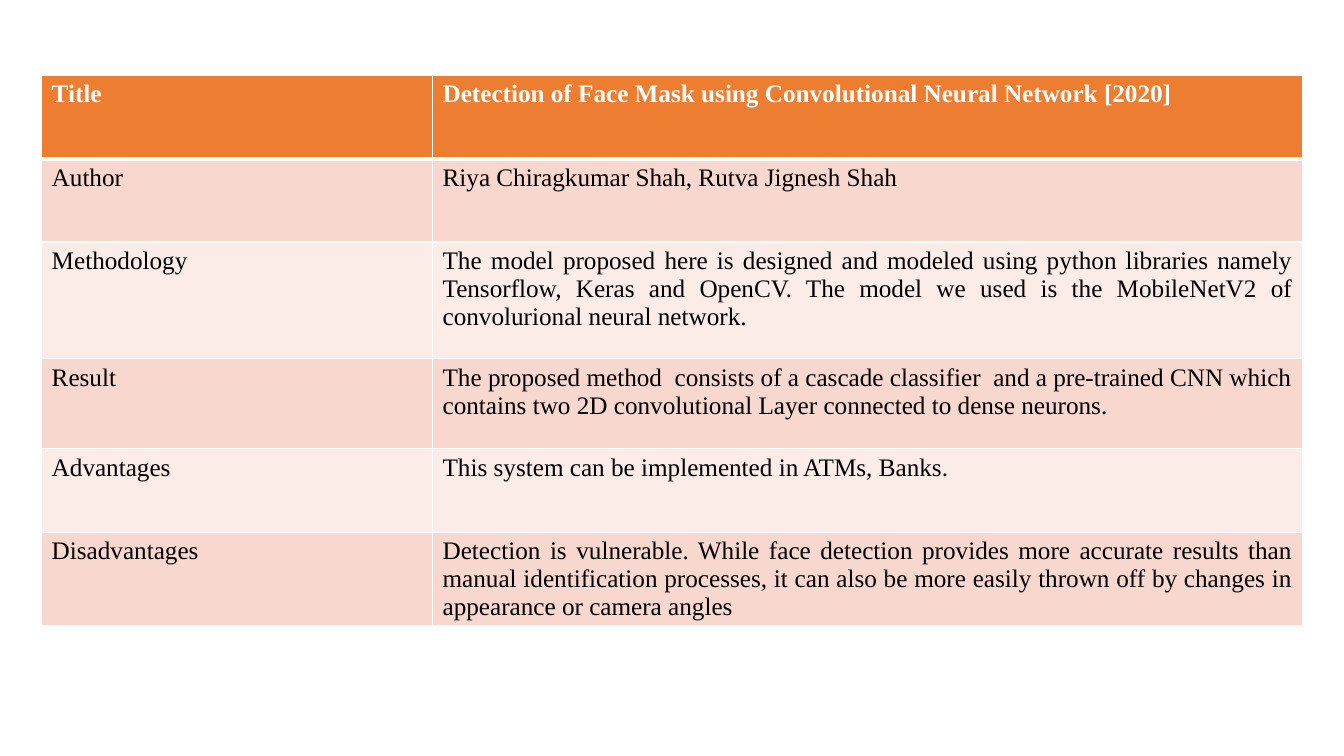
"""Build a one-slide summary table of a face mask detection paper."""
from dataclasses import dataclass

from lxml import etree
from pptx import Presentation
from pptx import util as u
from pptx.dml.color import RGBColor
from pptx.enum import text
from pptx.oxml import ns


@dataclass(frozen=True)
class Theme:
    """Colours, font and sizes of the slide."""
    font: str = "Times New Roman"
    size: int = 18
    header: str = "ED7D31"
    bands: tuple = ("F8D7CE", "FCECE8")
    rule: str = "FFFFFF"
    header_text: str = "FFFFFF"
    body_text: str = "000000"
    thin: int = 1
    thick: int = 3


THEME = Theme()
LEFT, JUSTIFY = text.PP_ALIGN.LEFT, text.PP_ALIGN.JUSTIFY

PAPER = [
    ("Title", "Detection of Face Mask using Convolutional Neural Network [2020]", LEFT, 2.1),
    ("Author", "Riya Chiragkumar Shah, Rutva Jignesh Shah", LEFT, 2.1),
    ("Methodology",
     "The model proposed here is designed and modeled using python libraries namely "
     "Tensorflow, Keras and OpenCV. The model we used is the MobileNetV2 of "
     "convolurional neural network.", JUSTIFY, 2.94),
    ("Result",
     "The proposed method  consists of a cascade classifier  and a pre-trained CNN which "
     "contains two 2D convolutional Layer connected to dense neurons.", LEFT, 2.27),
    ("Advantages", "This system can be implemented in ATMs, Banks.", LEFT, 2.1),
    ("Disadvantages",
     "Detection is vulnerable. While face detection provides more accurate results than "
     "manual identification processes, it can also be more easily thrown off by changes in "
     "appearance or camera angles", JUSTIFY, 2.1),
]


def write(frame, words, *, color, bold=False, align=LEFT):
    """Put formatted words into a text frame."""
    paragraph = frame.paragraphs[0]
    paragraph.alignment = align
    run = paragraph.add_run()
    run.text = words
    run.font.name = THEME.font
    run.font.size = u.Pt(THEME.size)
    run.font.bold = bold
    run.font.color.rgb = RGBColor.from_string(color)


def rule_cell(cell, **widths):
    """Draw the cell's borders, given a width in points for each side."""
    properties = cell._tc.get_or_add_tcPr()
    for position, (side, width) in enumerate(widths.items()):
        border = etree.Element(ns.qn(f"a:ln{side}"), w=str(u.Pt(width)))
        fill = etree.SubElement(border, ns.qn("a:solidFill"))
        etree.SubElement(fill, ns.qn("a:srgbClr"), val=THEME.rule)
        properties.insert(position, border)


def paper_table(slide, left, top, width, label_share=0.31):
    """Place the paper summary, with labels taking a share of the width."""
    heights = [u.Cm(height) for *_, height in PAPER]
    summary = slide.shapes.add_table(len(PAPER), 2, left, top, width, sum(heights)).table
    label_width = int(width * label_share)
    summary.columns[0].width = label_width
    summary.columns[1].width = width - label_width
    for index, (label, detail, align, _) in enumerate(PAPER):
        summary.rows[index].height = heights[index]
        is_header = index == 0
        shade = THEME.header if is_header else THEME.bands[(index - 1) % 2]
        ink = THEME.header_text if is_header else THEME.body_text
        above = THEME.thick if index == 1 else THEME.thin
        below = THEME.thick if is_header else THEME.thin
        for cell, words, side in zip(summary.rows[index].cells, (label, detail), (LEFT, align)):
            write(cell.text_frame, words, color=ink, bold=is_header, align=side)
            cell.fill.solid()
            cell.fill.fore_color.rgb = RGBColor.from_string(shade)
            rule_cell(cell, L=THEME.thin, R=THEME.thin, T=above, B=below)


def main():
    """Create and save the presentation."""
    deck = Presentation()
    deck.slide_width, deck.slide_height = u.Cm(33.87), u.Cm(19.05)
    slide = deck.slides.add_slide(deck.slide_layouts[6])
    paper_table(slide, u.Cm(1.05), u.Cm(1.9), u.Cm(31.78))
    deck.save("out.pptx")


main()
